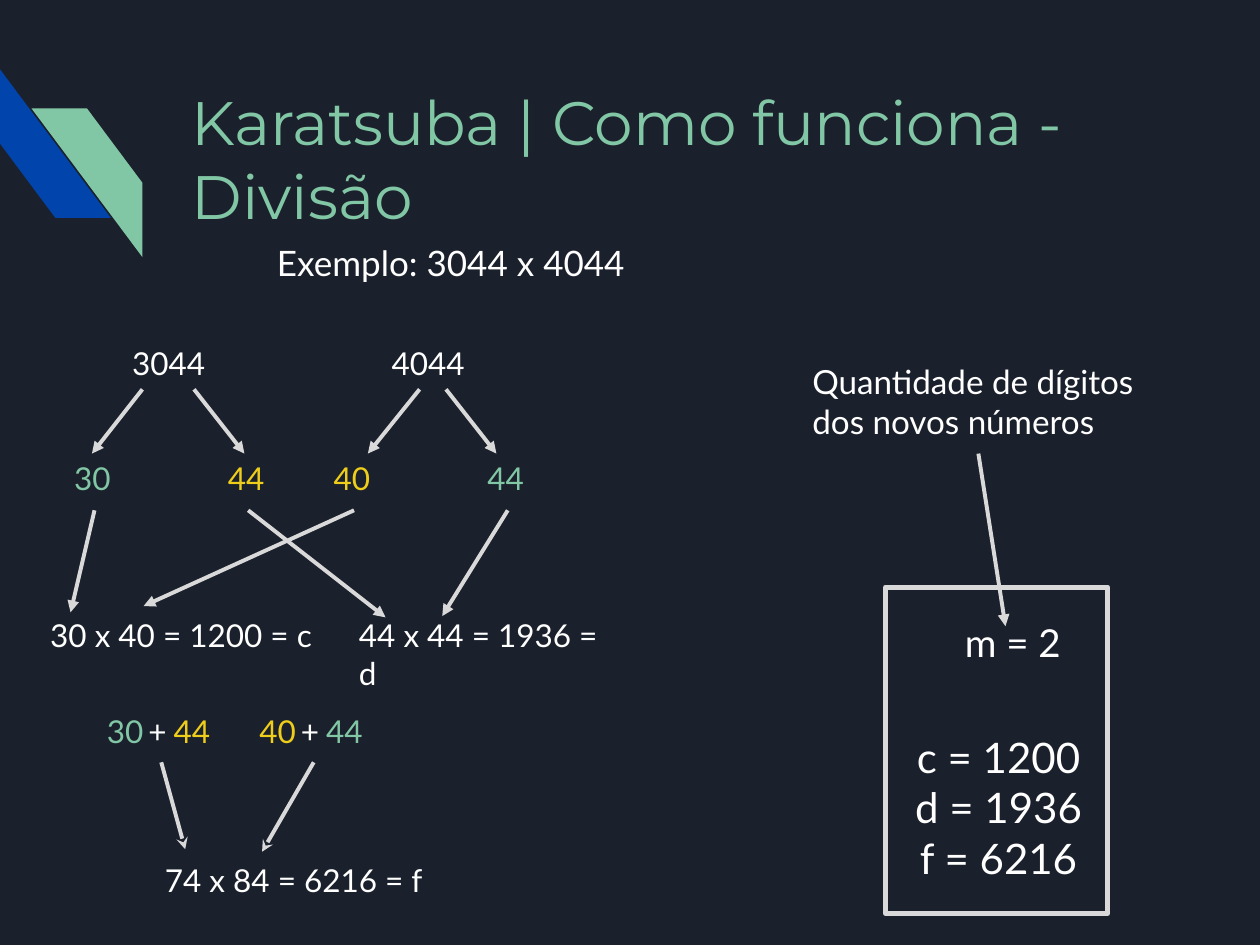
from dataclasses import dataclass
from lxml import etree
from pptx import Presentation
from pptx.dml.color import RGBColor
from pptx.enum.shapes import MSO_CONNECTOR, MSO_SHAPE
from pptx.enum.text import MSO_ANCHOR, MSO_AUTO_SIZE, PP_ALIGN
from pptx.oxml.ns import qn
from pptx.util import Inches, Pt

STRAIGHT = MSO_CONNECTOR.STRAIGHT
STRIPE, RECTANGLE = MSO_SHAPE.DIAGONAL_STRIPE, MSO_SHAPE.RECTANGLE
TOP, MIDDLE = MSO_ANCHOR.TOP, MSO_ANCHOR.MIDDLE
LEFT, CENTER = PP_ALIGN.LEFT, PP_ALIGN.CENTER
NO_FIT = MSO_AUTO_SIZE.NONE
BOTTOM_SIDE = 2


@dataclass(frozen=True)
class Theme:
    """Colours, fonts and type sizes of the deck."""
    ground: str = "1B212C"
    blue: str = "0145AC"
    green: str = "82C7A5"
    yellow: str = "EECE1A"
    white: str = "FFFFFF"
    line: str = "D9D9D9"
    heading: str = "Montserrat"
    body: str = "Lato"
    title: int = 35
    example: int = 20
    label: int = 18
    note: int = 19
    digits: int = 22
    result: int = 24
    arrow: float = 2.25
    frame: int = 3


@dataclass(frozen=True)
class Box:
    """A region of the page in inches."""
    left: float
    top: float
    width: float
    height: float

    def inner(self, left, top, width, height):
        """Return a box placed relative to this one."""
        return Box(self.left + left, self.top + top, width, height)

    def point(self, x, y):
        """Return a point of this box as page lengths."""
        return Inches(self.left + x), Inches(self.top + y)

    def lengths(self):
        """Return left, top, width and height as lengths."""
        return [Inches(value) for value in (self.left, self.top, self.width, self.height)]


THEME = Theme()


def write(shape, lines, size, color=THEME.white, font=THEME.body, align=LEFT, anchor=TOP):
    """Fill a shape with evenly formatted paragraphs."""
    frame = shape.text_frame
    frame.word_wrap = True
    frame.auto_size = NO_FIT
    frame.vertical_anchor = anchor
    frame.margin_left = frame.margin_right = Inches(0.1)
    frame.margin_top = frame.margin_bottom = Inches(0.1)
    frame.text = "\n".join(lines)
    for para in frame.paragraphs:
        para.alignment = align
        para.font.name = font
        para.font.size = Pt(size)
        para.font.color.rgb = RGBColor.from_string(color)


def add_label(page, box, text, size=THEME.label, color=THEME.white):
    """Add a one-paragraph text box and return it."""
    label = page.shapes.add_textbox(*box.lengths())
    write(label, [text], size, color)
    return label


def add_arrow(page, start, end, head="triangle", source=None):
    """Draw an arrow, joined to the bottom of its source if given."""
    arrow = page.shapes.add_connector(STRAIGHT, *start, *end)
    if source is not None:
        arrow.begin_connect(source, BOTTOM_SIDE)
    arrow.line.color.rgb = RGBColor.from_string(THEME.line)
    arrow.line.width = Pt(THEME.arrow)
    properties = arrow._element.spPr
    etree.SubElement(properties.find(qn("a:ln")), qn("a:tailEnd"), type=head)
    etree.SubElement(properties, qn("a:effectLst"))


def add_arrow_from(page, source, end, head="triangle"):
    """Draw an arrow from the bottom middle of a label."""
    start = source.left + source.width // 2, source.top + source.height
    add_arrow(page, start, end, head, source)


def add_stripe(page, box, color):
    """Add a plain diagonal stripe and return it."""
    stripe = page.shapes.add_shape(STRIPE, *box.lengths())
    stripe.shadow.inherit = False
    stripe.fill.solid()
    stripe.fill.fore_color.rgb = RGBColor.from_string(color)
    stripe.line.fill.background()
    return stripe


def build_ornament(page, box):
    """Place the two stripes at the left edge."""
    add_stripe(page, box.inner(-0.15, 0.15, 1.18, 0.88), THEME.blue).rotation = 270
    green = add_stripe(page, box.inner(0.25, 0.31, 0.88, 1.18), THEME.green)
    green._element.spPr.find(qn("a:xfrm")).set("flipH", "1")


def build_heading(page, box):
    """Place the title and the example below it."""
    title = page.shapes.title
    title.left, title.top, title.width, title.height = box.inner(0, 0, 7.7, 1.33).lengths()
    write(title, ["Karatsuba | Como funciona - Divisão"], THEME.title, THEME.green, THEME.heading)
    add_label(page, box.inner(0.68, 1.25, 3.47, 0.53), "Exemplo: 3044 x 4044", THEME.example)


def build_split(page, box, number, colors, branches):
    """Split a number into two halves and return their labels."""
    add_label(page, box.inner(0.46, 0, 0.94, 0.53), number)
    for start, end in branches:
        add_arrow(page, box.point(start, 0.46), box.point(end, 0.97))
    halves = number[:2], number[2:]
    return [
        add_label(page, box.inner(1.22 * index, 0.91, 0.52, 0.51), half, color=color)
        for index, (half, color) in enumerate(zip(halves, colors))
    ]


def build_products(page, box, first, second):
    """Place the two products and the arrows from their factors."""
    add_label(page, box.inner(0, 0, 2.37, 0.42), "30 x 40 = 1200 = c")
    add_label(page, box.inner(2.45, 0, 2.28, 0.49), "44 x 44 = 1936 = d")
    ends = (0.26, 0.07), (2.76, 0.11), (0.84, 0.02), (3.21, 0.1)
    for source, end in zip(first + second, ends):
        add_arrow_from(page, source, box.point(*end))


def build_sums(page, box):
    """Place the sums of halves and the product of the sums."""
    add_label(page, box.inner(0.46, 1.18, 2.28, 0.53), "74 x 84 = 6216 = f")
    sums = (
        ("30", THEME.green, "44", THEME.yellow, (0.72, 1.19)),
        ("40", THEME.yellow, "44", THEME.green, (1.33, 1.21)),
    )
    for index, (left, left_color, right, right_color, end) in enumerate(sums):
        group = box.inner(1.21 * index, 0, 1.07, 0.5)
        add_label(page, group.inner(0, 0, 0.54, 0.5), left, color=left_color)
        add_label(page, group.inner(0.53, 0, 0.54, 0.5), right, color=right_color)
        plus = add_label(page, group.inner(0.33, 0, 0.4, 0.5), "+")
        add_arrow_from(page, plus, box.point(*end), "stealth")


def build_results(page, box):
    """Place the digit note and the framed results."""
    values = page.shapes.add_textbox(*box.inner(0.66, 2.56, 1.83, 2.15).lengths())
    write(values, ["c = 1200", "d = 1936", "f = 6216"], THEME.result, align=CENTER, anchor=MIDDLE)
    note = add_label(page, box.inner(0, 0, 2.83, 0.83),
                     "Quantidade de dígitos dos novos números", THEME.note)
    add_label(page, box.inner(1.21, 2.04, 1.27, 0.57), "m = 2", THEME.digits)
    add_arrow_from(page, note, box.point(1.63, 2.2))
    frame = page.shapes.add_shape(RECTANGLE, *box.inner(0.68, 1.89, 1.76, 2.59).lengths())
    frame.shadow.inherit = False
    frame.fill.background()
    frame.line.color.rgb = RGBColor.from_string(THEME.line)
    frame.line.width = Pt(THEME.frame)


def main():
    """Build the deck and save it."""
    deck = Presentation()
    deck.slide_width, deck.slide_height = Inches(10), Inches(7.5)
    page = deck.slides.add_slide(deck.slide_layouts[5])
    page.background.fill.solid()
    page.background.fill.fore_color.rgb = RGBColor.from_string(THEME.ground)
    build_ornament(page, Box(0, 0.55, 1.13, 1.49))
    build_heading(page, Box(1.42, 0.57, 7.7, 1.78))
    first = build_split(page, Box(0.49, 2.63, 1.74, 1.42), "3044",
                        (THEME.green, THEME.yellow), ((0.64, 0.24), (1.05, 1.45)))
    second = build_split(page, Box(2.55, 2.63, 1.74, 1.42), "4044",
                         (THEME.yellow, THEME.green), ((0.78, 0.37), (0.99, 1.39)))
    build_products(page, Box(0.3, 4.79, 4.73, 0.49), first, second)
    build_sums(page, Box(0.75, 5.55, 2.74, 1.71))
    build_results(page, Box(6.35, 2.77, 2.83, 4.71))
    deck.save("out.pptx")


if __name__ == "__main__":
    main()
